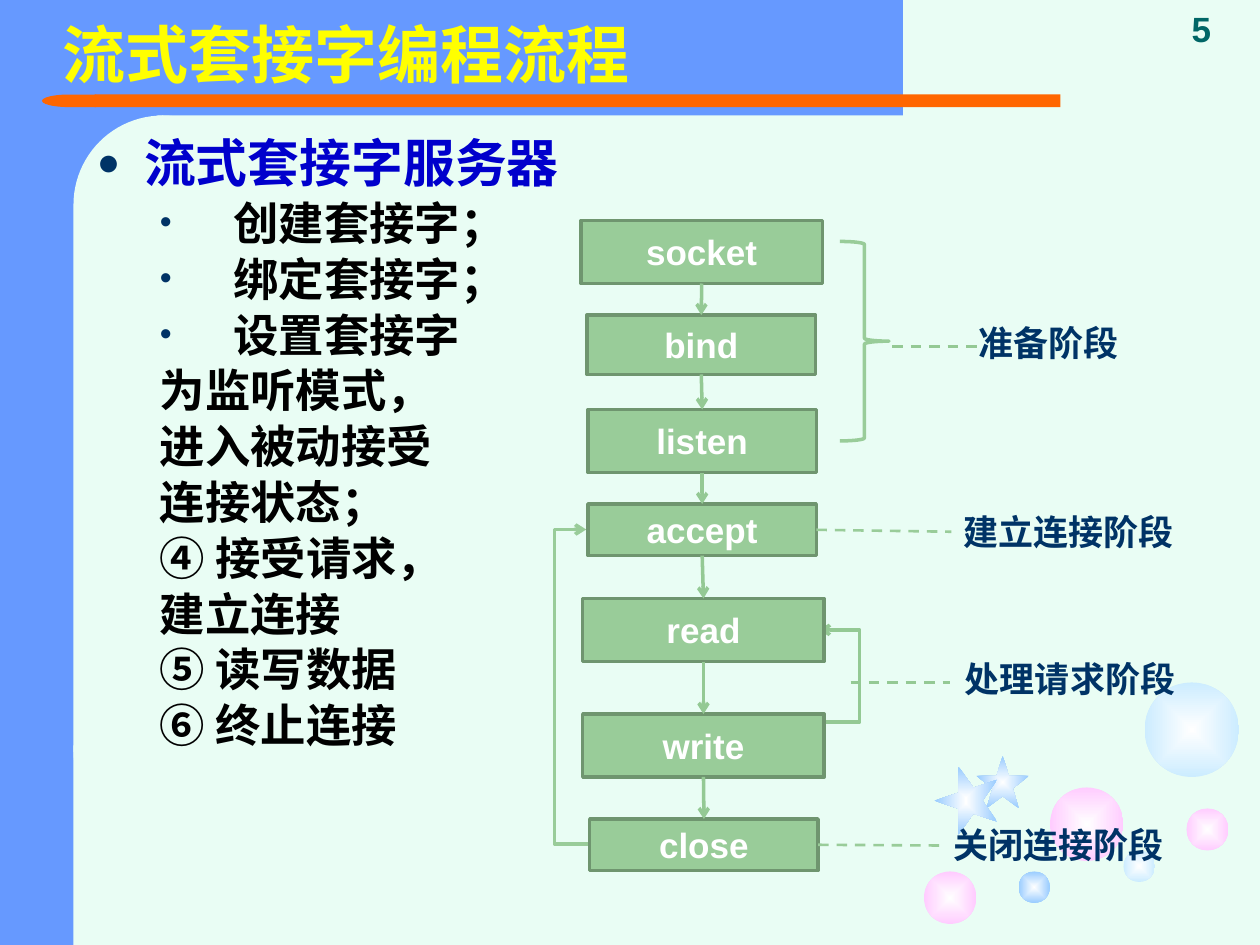
"""Build the slide on the programming flow of a stream socket server."""
import itertools
from dataclasses import dataclass

import lxml.etree
import pptx
import pptx.dml.color
import pptx.enum.dml
import pptx.enum.shapes
import pptx.enum.text
import pptx.oxml.ns
import pptx.util

Pt = pptx.util.Pt
Kind = pptx.enum.shapes.MSO_SHAPE
Link = pptx.enum.shapes.MSO_CONNECTOR
Align = pptx.enum.text.PP_ALIGN
Anchor = pptx.enum.text.MSO_ANCHOR
qn = pptx.oxml.ns.qn

SANS = "Noto Sans CJK SC"
BLUE, MINT, RUST, NAVY = "6699FF", "E9FDF4", "FF6600", "003366"
LEAF, MOSS, STEM = "99CC99", "6F956F", "94C994"


@dataclass
class Area:
    x: float
    y: float
    w: float
    h: float

    def place(self) -> tuple:
        return Pt(self.x), Pt(self.y), Pt(self.w), Pt(self.h)


@dataclass
class Step:
    name: str
    area: Area


@dataclass
class Phase:
    name: str
    area: Area


@dataclass
class Deco:
    kind: int
    area: Area
    hue: str
    turn: float = 0


@dataclass
class Item:
    text: str
    mark: str = ""
    sign: str = ""
    font: str = SANS


PLATES = [
    Deco(Kind.RECTANGLE, Area(0, 0, 90, 540), BLUE),
    Deco(Kind.RECTANGLE, Area(36, 0, 480, 66), BLUE),
    Deco(Kind.ROUNDED_RECTANGLE, Area(42, 66, 102, 414), MINT),
    Deco(Kind.RECTANGLE, Area(54, 54, 552, 7.2), RUST),
    Deco(Kind.FLOWCHART_DELAY, Area(24, 54, 31, 7.2), RUST, 180),
    Deco(Kind.RECTANGLE, Area(42, 426, 102, 114), MINT),
]
BALLS = [
    Deco(Kind.OVAL, Area(x, y, size, size), hue)
    for x, y, size, hue in [
        (600, 450, 42, "FFCCFF"), (528, 498, 30, "FFCCFF"),
        (642, 486, 18, "CCECFF"), (678, 462, 24, "FFCCFF"),
        (654, 390, 54, "CCECFF"), (582, 498, 18, "99CCFF"),
    ]
]
STARS = [
    Deco(Kind.STAR_5_POINT, Area(558, 432, 30, 30), "99CCFF"),
    Deco(Kind.STAR_5_POINT, Area(532.5, 439.5, 39, 36), "99CCFF", 270),
]
STEPS = [
    Step("socket", Area(332, 126, 138, 36)),
    Step("bind", Area(335.5, 180, 130.5, 34)),
    Step("listen", Area(336, 234, 130.5, 36)),
    Step("accept", Area(336, 288, 130.5, 29.5)),
    Step("read", Area(333, 342, 138, 36)),
    Step("write", Area(333, 408, 138, 36)),
    Step("close", Area(337, 468, 130.5, 29.5)),
]
PHASES = [
    Phase("准备阶段", Area(552.2, 180, 124.6, 31.7)),
    Phase("建立连接阶段", Area(543.6, 288, 164, 31.7)),
    Phase("处理请求阶段", Area(544.3, 372.2, 175.7, 31.7)),
    Phase("关闭连接阶段", Area(537.8, 467.3, 170, 31.7)),
]
ITEMS = [
    Item("创建套接字；", "•"), Item("绑定套接字；", "•"),
    Item("设置套接字", "•"), Item("为监听模式，"),
    Item("进入被动接受"), Item("连接状态；"),
    Item("接受请求，", sign="④ "), Item("建立连接"),
    Item("读写数据", sign="⑤ ", font="Calibri"),
    Item("终止连接", sign="⑥ ", font="Calibri"),
]


def tint(hue: str) -> pptx.dml.color.RGBColor:
    return pptx.dml.color.RGBColor.from_string(hue)


def write(para, text: str, *, size=20, hue=NAVY, font="Arial", align=Align.LEFT):
    para.alignment = align
    run = para.add_run()
    run.text = text
    run.font.size, run.font.bold, run.font.name = Pt(size), True, font
    run.font.color.rgb = tint(hue)
    lxml.etree.SubElement(run.font._element, qn("a:ea"), typeface=SANS)


def bullet(para, mark: str, left: float, hang: float):
    props = para._p.get_or_add_pPr()
    props.set("marL", str(Pt(left)))
    props.set("indent", str(Pt(-hang)))
    if not mark:
        lxml.etree.SubElement(props, qn("a:buNone"))
        return
    shade = lxml.etree.SubElement(props, qn("a:buClr"))
    lxml.etree.SubElement(shade, qn("a:srgbClr"), val=NAVY)
    lxml.etree.SubElement(props, qn("a:buSzPct"), val="75000")
    lxml.etree.SubElement(props, qn("a:buFont"), typeface="Arial")
    lxml.etree.SubElement(props, qn("a:buChar"), char=mark)


def plate(slide, deco: Deco):
    shape = slide.shapes.add_shape(deco.kind, *deco.area.place())
    shape.shadow.inherit = False
    shape.fill.solid()
    shape.fill.fore_color.rgb = tint(deco.hue)
    shape.line.fill.background()
    shape.rotation = deco.turn
    if deco.kind == Kind.ROUNDED_RECTANGLE:
        shape.adjustments[0] = 0.5
    return shape


def glow(slide, deco: Deco):
    shape = plate(slide, deco)
    shape.fill.gradient()
    for stop, hue in zip(shape.fill.gradient_stops, ("FFFFFF", deco.hue)):
        stop.color.rgb = tint(hue)
    grad = shape._element.spPr.find(qn("a:gradFill"))
    grad.remove(grad.find(qn("a:lin")))
    way = lxml.etree.SubElement(grad, qn("a:path"), {"path": "rect"})
    lxml.etree.SubElement(way, qn("a:fillToRect"), dict.fromkeys("ltrb", "50000"))


def box(slide, step: Step):
    shape = plate(slide, Deco(Kind.RECTANGLE, step.area, LEAF))
    shape.line.color.rgb, shape.line.width = tint(MOSS), Pt(2)
    shape.text_frame.vertical_anchor = Anchor.MIDDLE
    write(shape.text_frame.paragraphs[0], step.name, hue="FFFFFF", align=Align.CENTER)
    return shape


def label(slide, text: str, area: Area, hue=NAVY):
    shape = slide.shapes.add_textbox(*area.place())
    shape.text_frame.word_wrap = True
    write(shape.text_frame.paragraphs[0], text, hue=hue)
    return shape


def link(slide, start=(0, 0), end=(0, 0), *, hue=STEM, dash=False, kind=Link.STRAIGHT):
    line = slide.shapes.add_connector(kind, *map(Pt, (*start, *end)))
    line.line.color.rgb, line.line.width = tint(hue), Pt(1.5 if dash else 2)
    if dash:
        line.line.dash_style = pptx.enum.dml.MSO_LINE.DASH
    else:
        lxml.etree.SubElement(line.line._get_or_add_ln(), qn("a:tailEnd"), type="arrow")
    lxml.etree.SubElement(line._element.spPr, qn("a:effectLst"))
    return line


def loop(slide, start: tuple, end: tuple, turn: float, hue: str):
    line = link(slide, start, end, hue=hue, kind=Link.ELBOW)
    ratio = round((turn - start[0]) / (end[0] - start[0]) * 100000)
    guide = line._element.spPr.find(qn("a:prstGeom")).get_or_add_avLst()
    lxml.etree.SubElement(guide, qn("a:gd"), name="adj1", fmla=f"val {ratio}")


def outline(slide):
    title, body = slide.placeholders
    title.left, title.top, title.width, title.height = Area(28.5, 9.4, 648, 47.5).place()
    title.text_frame.vertical_anchor = Anchor.MIDDLE
    head = title.text_frame.paragraphs[0]
    head.line_spacing = 0.9
    write(head, "流式套接字编程流程", size=36, hue="FFFF00")
    body.left, body.top, body.width, body.height = Area(48.2, 74.9, 648, 369.4).place()
    body.text_frame.auto_size = pptx.enum.text.MSO_AUTO_SIZE.NONE
    lead = body.text_frame.paragraphs[0]
    bullet(lead, "●", 27, 27)
    lead.line_spacing, lead.space_before = 0.9, Pt(0)
    write(lead, "流式套接字服务器", size=29.6, hue="0000CC", font=SANS)
    for item in ITEMS:
        para = body.text_frame.add_paragraph()
        para.level = 1
        bullet(para, item.mark, 78, 42)
        para.line_spacing, para.space_before = 0.8, Pt(7)
        if item.sign:
            write(para, item.sign, size=25.9, hue="000000", font=item.font)
        write(para, item.text, size=25.9, hue="000000")


def flow(slide):
    loop(slide, (468.7, 412.6), (468, 360), 491, STEM)
    loop(slide, (336.5, 482.4), (335, 302.6), 317, LEAF)
    boxes = {step.name: box(slide, step) for step in STEPS}
    for upper, lower in itertools.pairwise(boxes.values()):
        arrow = link(slide)
        arrow.begin_connect(upper, 2)
        arrow.end_connect(lower, 0)
    notes = {phase.name: label(slide, phase.name, phase.area) for phase in PHASES}
    for step, phase in (("accept", "建立连接阶段"), ("close", "关闭连接阶段")):
        line = link(slide, hue=LEAF, dash=True)
        line.begin_connect(boxes[step], 3)
        line.end_connect(notes[phase], 1)
    link(slide, (510, 198), (558, 198), dash=True)
    link(slide, (486, 390), (543, 390), dash=True)
    brace = plate(slide, Deco(Kind.RIGHT_BRACE, Area(480, 138, 28, 114), LEAF))
    brace.fill.background()
    brace.line.color.rgb, brace.line.width = tint(LEAF), Pt(2)
    brace.adjustments[0] = 0.06


def main():
    deck = pptx.Presentation()
    deck.slide_width, deck.slide_height = Pt(720), Pt(540)
    slide = deck.slides.add_slide(deck.slide_layouts[1])
    slide.background.fill.solid()
    slide.background.fill.fore_color.rgb = tint(MINT)
    for deco in PLATES:
        plate(slide, deco)
    for deco in BALLS + STARS:
        glow(slide, deco)
    tree = slide.shapes._spTree
    for holder in list(slide.placeholders):
        tree.append(holder._element)
    outline(slide)
    flow(slide)
    page = label(slide, "5", Area(673.9, 0, 46, 31.7), "006666")
    page.text_frame.word_wrap = False
    page.text_frame.vertical_anchor = Anchor.BOTTOM
    deck.save("out.pptx")


if __name__ == "__main__":
    main()
